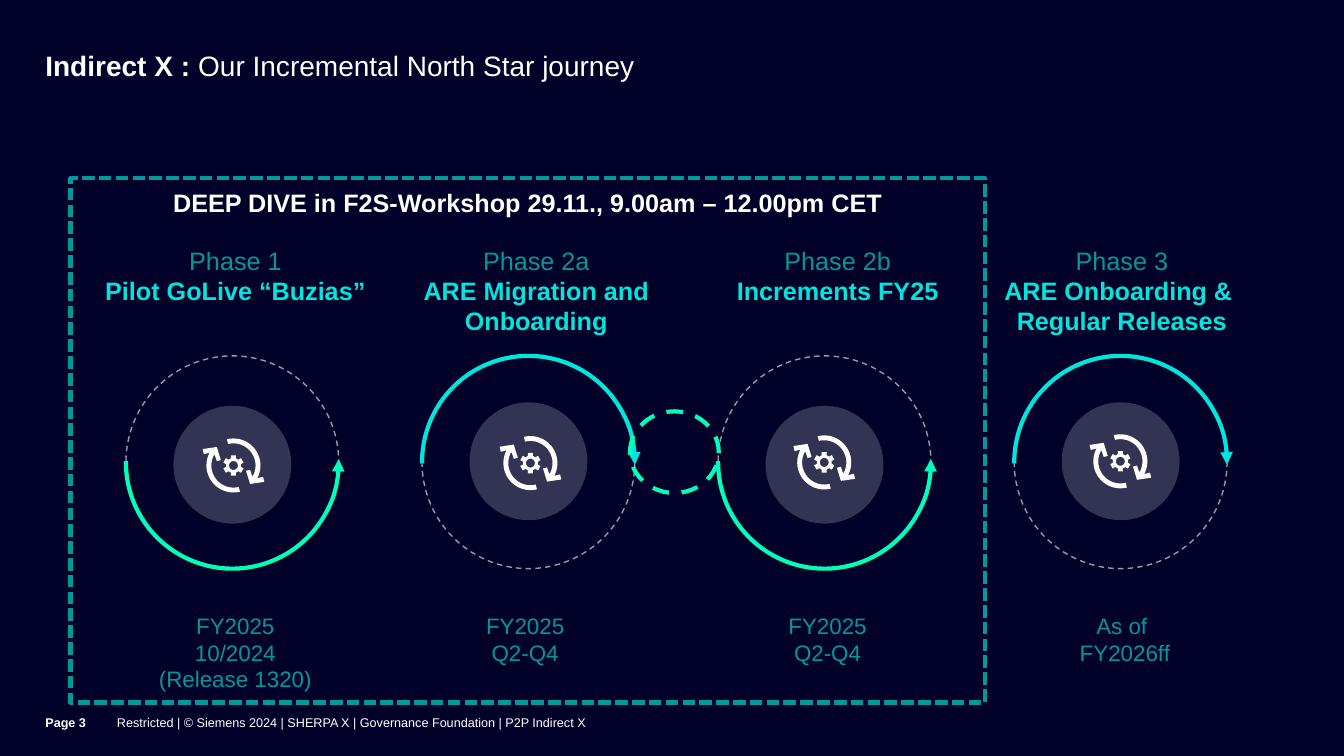
"""Build the Indirect X journey slide: four phase circles with a deep-dive frame."""
from math import cos, radians, sin

from lxml import etree
from pptx import Presentation
from pptx.dml.color import RGBColor
from pptx.enum.dml import MSO_LINE
from pptx.enum.shapes import MSO_SHAPE
from pptx.enum.text import MSO_ANCHOR, PP_ALIGN
from pptx.oxml.ns import qn
from pptx.util import Pt

NAVY = RGBColor(0x00, 0x00, 0x28)
SLATE = RGBColor(0x33, 0x33, 0x53)
GREY = RGBColor(0x99, 0x99, 0xA9)
PETROL = RGBColor(0x00, 0x99, 0x99)
CYAN = RGBColor(0x00, 0xE6, 0xDC)
GREEN = RGBColor(0x00, 0xFF, 0xB9)
WHITE = RGBColor(0xFF, 0xFF, 0xFF)
RECTANGLE, OVAL, ARC = MSO_SHAPE.RECTANGLE, MSO_SHAPE.OVAL, MSO_SHAPE.ARC
DASH, SHORT_DASH = MSO_LINE.DASH, MSO_LINE.SQUARE_DOT
LEFT, CENTER = PP_ALIGN.LEFT, PP_ALIGN.CENTER
TOP, MIDDLE = MSO_ANCHOR.TOP, MSO_ANCHOR.MIDDLE

ORBIT_LEFT, ORBIT_TOP, ORBIT_SIZE, ORBIT_PITCH = 90, 254.2, 152, 211.5
DISC_SIZE = 84.2
UPPER_ARC, LOWER_ARC = (107.65, 0.82), (214.94, 108.33)
UPPER_DASH, LOWER_DASH = (108.38, 215.38), (215.69, 108.44)

deck = Presentation()
deck.slide_width, deck.slide_height = Pt(960), Pt(540)
page = deck.slides.add_slide(deck.slide_layouts[6])
page.background.fill.solid()
page.background.fill.fore_color.rgb = NAVY


def add_text(lines, left, top, width, height, size=18, align=CENTER, anchor=TOP,
             wrap=True, right=0, bottom=0, spacing=None):
    """Place a text box; each line is a list of (text, colour, bold) runs."""
    box = page.shapes.add_textbox(Pt(left), Pt(top), Pt(width), Pt(height))
    frame = box.text_frame
    frame.word_wrap, frame.vertical_anchor = wrap, anchor
    frame.margin_left = frame.margin_top = 0
    frame.margin_right, frame.margin_bottom = Pt(right), Pt(bottom)
    for number, runs in enumerate(lines):
        para = frame.add_paragraph() if number else frame.paragraphs[0]
        para.alignment, para.line_spacing = align, spacing
        for text, color, bold in runs:
            span = para.add_run()
            span.text = text
            span.font.name, span.font.size, span.font.bold = "Arial", Pt(size), bold
            span.font.color.rgb = color


def add_figure(kind, left, top, width, height, fill=None, line=None, weight=3,
               dash=None, angles=None, arrow=None):
    """Place a preset shape with optional fill, outline, arc angles and arrowhead."""
    figure = page.shapes.add_shape(kind, Pt(left), Pt(top), Pt(width), Pt(height))
    figure.shadow.inherit = False
    if angles:
        figure.adjustments[0], figure.adjustments[1] = angles
    if fill:
        figure.fill.solid()
        figure.fill.fore_color.rgb = fill
    else:
        figure.fill.background()
    if line:
        figure.line.color.rgb, figure.line.width = line, Pt(weight)
        if dash:
            figure.line.dash_style = dash
    else:
        figure.line.fill.background()
    if arrow:
        outline = figure._element.spPr.find(qn("a:ln"))
        etree.SubElement(outline, qn(arrow), type="triangle")


add_figure(RECTANGLE, 50.4, 127.4, 653, 374.4, line=PETROL, dash=SHORT_DASH)
add_text([[("Indirect X : ", WHITE, True), ("Our Incremental North Star journey", WHITE, False)]],
         32.4, 37.4, 777, 45.4, size=20, align=LEFT, right=25.2, bottom=1.4, spacing=0.9)
add_text([[("Restricted | © Siemens 2024 | SHERPA X | Governance Foundation | P2P Indirect X",
            WHITE, False)]],
         83.5, 496.8, 725.8, 43.2, size=9, align=LEFT, anchor=MIDDLE, bottom=5)
add_text([[("Page 3", WHITE, True)]],
         32.4, 496.8, 51.1, 43.2, size=9, align=LEFT, anchor=MIDDLE, bottom=5)
add_text([[("DEEP DIVE in F2S-Workshop 29.11., 9.00am – 12.00pm CET", WHITE, True)]],
         94.3, 133.9, 565.2, 21.6)

outer_arc = [(19.3, angle) for angle in range(-104, 29, 6)]
inner_arc = [(15.8, angle) for angle in range(28, -108, -6)]
arrow_tip = [(21.2, 8.1), (22, 11.7), (11.9, 13.2), (9, 3.8), (11.9, 3.1), (13.3, 7.4)]
gear_teeth = [(radius, tooth + turn) for tooth in range(-90, 270, 60)
              for radius, turn in ((5.4, -19), (7.5, -14), (7.5, 14), (5.4, 19))]
gear_hole = [(3.2, angle) for angle in range(0, 360, 15)]
outer_arc, inner_arc, gear_teeth, gear_hole = [
    [(radius * cos(radians(angle)), radius * sin(radians(angle))) for radius, angle in polar]
    for polar in (outer_arc, inner_arc, gear_teeth, gear_hole)]
right_arrow = outer_arc + arrow_tip + inner_arc
left_arrow = [(-x, -y) for x, y in right_arrow]
icon_outlines = [[(x * 100, y * 100) for x, y in outline]
                 for outline in (gear_teeth, gear_hole, left_arrow, right_arrow)]

phases = [
    ("Phase 1", ["Pilot GoLive “Buzias”"], 74.2, 187.9,
     ["FY2025", "10/2024", "(Release 1320)"], 113, 110.2, False, (166.8, 332.5)),
    ("Phase 2a", ["ARE Migration and", "Onboarding"], 301.7, 162.7,
     ["FY2025", "Q2-Q4"], 347, 56.2, True, (378.9, 330.8)),
    ("Phase 2b", ["Increments FY25"], 525.6, 145.4,
     ["FY2025", "Q2-Q4"], 563, 56.2, False, (588.8, 330.3)),
    ("Phase 3", ["ARE Onboarding & ", "Regular Releases"], 716.4, 169.9,
     ["As of ", "FY2026ff"], 764.6, 77.8, True, (800.3, 329.5)),
]
for index, (phase, goals, goal_left, goal_width, dates, date_left, date_width,
            upper, icon_center) in enumerate(phases):
    orbit = (ORBIT_LEFT + index * ORBIT_PITCH, ORBIT_TOP, ORBIT_SIZE, ORBIT_SIZE)
    add_figure(OVAL, orbit[0] + 33.9, 287.4 if upper else 289.8, DISC_SIZE, DISC_SIZE, fill=SLATE)
    add_figure(ARC, *orbit, line=GREY, weight=1, dash=DASH,
               angles=LOWER_DASH if upper else UPPER_DASH)
    add_figure(ARC, *orbit, line=CYAN if upper else GREEN,
               angles=UPPER_ARC if upper else LOWER_ARC,
               arrow="a:tailEnd" if upper else "a:headEnd")
    add_text([[(phase, PETROL, False)]] + [[(goal, CYAN, True)] for goal in goals],
             goal_left, 175, goal_width, 21.8 * (1 + len(goals)), wrap=False)
    add_text([[(date, PETROL, False)] for date in dates],
             date_left, 437, date_width, 19.4 * len(dates), size=16, wrap=False)

    builder = page.shapes.build_freeform(*icon_outlines[0][0], scale=Pt(0.01))
    builder.add_line_segments(icon_outlines[0][1:])
    for outline in icon_outlines[1:]:
        builder.move_to(*outline[0])
        builder.add_line_segments(outline[1:])
    icon = builder.convert_to_shape(Pt(icon_center[0]), Pt(icon_center[1]))
    icon.shadow.inherit = False
    icon.fill.solid()
    icon.fill.fore_color.rgb = WHITE
    icon.line.fill.background()

add_figure(OVAL, 450, 293.8, 63.4, 58.3, line=GREEN, dash=DASH)
deck.save("out.pptx")
